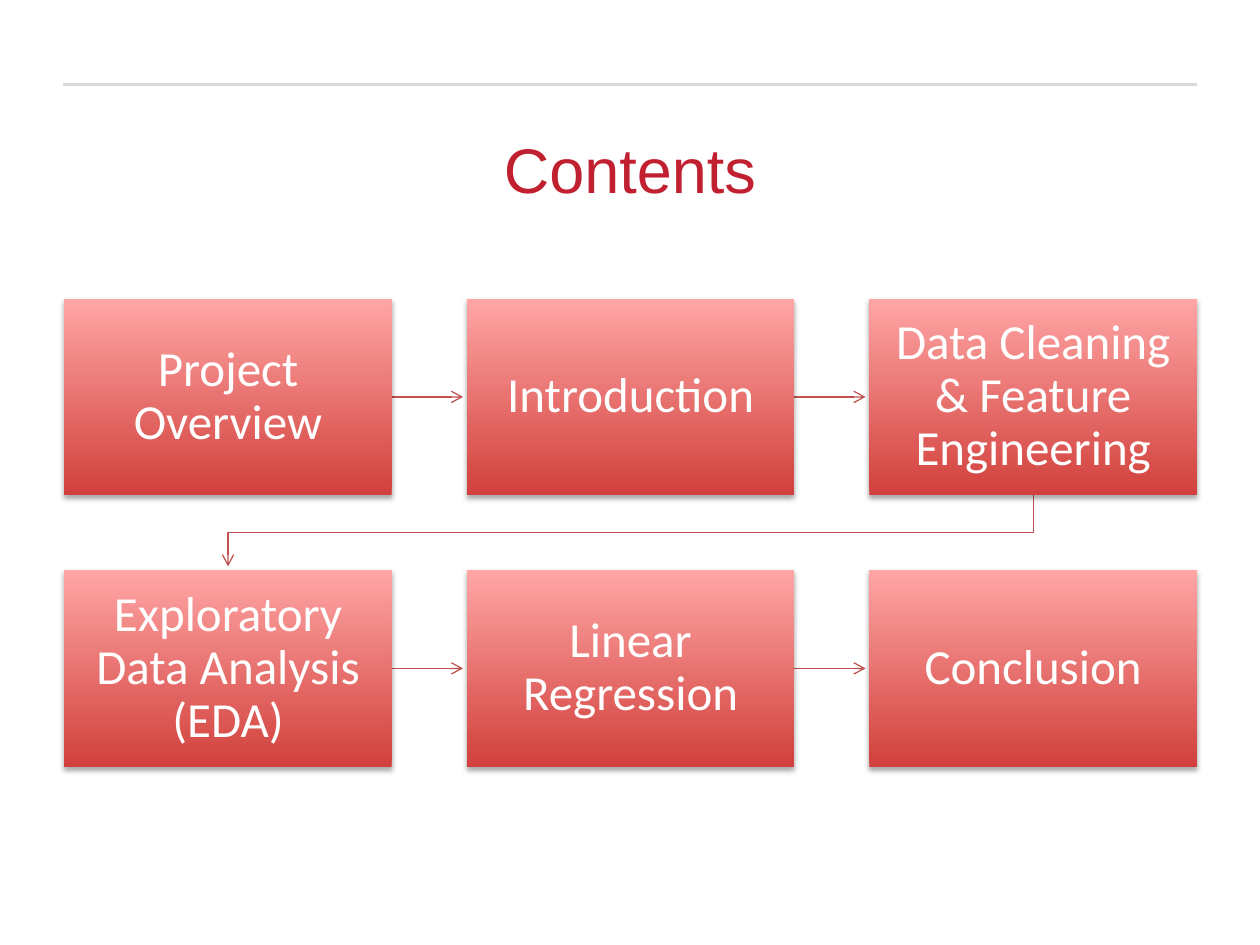
from dataclasses import dataclass

from pptx import Presentation
from pptx.dml.color import RGBColor
from pptx.enum import shapes, text
from pptx.oxml import parse_xml
from pptx.oxml.ns import nsdecls, qn
from pptx.util import Inches, Pt


@dataclass(frozen=True)
class Theme:
    title_color: RGBColor = RGBColor.from_string("C12030")
    rule_color: RGBColor = RGBColor.from_string("D9D9D9")
    arrow_color: RGBColor = RGBColor.from_string("C0504D")
    box_bottom: RGBColor = RGBColor.from_string("D1403C")
    box_top: RGBColor = RGBColor.from_string("FFA6A5")
    box_text: RGBColor = RGBColor.from_string("FFFFFF")
    title_font: str = "Arial"
    box_font: str = "Calibri"
    title_size: Pt = Pt(36)
    box_size: Pt = Pt(28)
    rule_width: Pt = Pt(2)
    arrow_width: Pt = Pt(0.75)


THEME = Theme()
COLUMNS = 3
LEFT, TOP = 0.51, 2.37
BOX_WIDTH, BOX_HEIGHT = 2.6, 1.56
COLUMN_STEP, ROW_STEP = 3.195, 2.155
ARROW_GAP = 0.03
BOX_INSET = Inches(0.13)

TOPICS = [
    "Project Overview",
    "Introduction",
    "Data Cleaning & Feature Engineering",
    "Exploratory Data Analysis (EDA)",
    "Linear Regression",
    "Conclusion",
]


@dataclass(frozen=True)
class Step:
    topic: str
    row: int
    column: int

    @property
    def left(self) -> float:
        return LEFT + self.column * COLUMN_STEP

    @property
    def top(self) -> float:
        return TOP + self.row * ROW_STEP

    @property
    def right(self) -> float:
        return self.left + BOX_WIDTH

    @property
    def bottom(self) -> float:
        return self.top + BOX_HEIGHT

    @property
    def center(self) -> float:
        return self.left + BOX_WIDTH / 2

    @property
    def middle(self) -> float:
        return self.top + BOX_HEIGHT / 2


def add_title(slide, wording: str) -> None:
    title = slide.shapes.title
    title.left, title.top = Inches(0.5), Inches(0.92)
    title.width, title.height = Inches(9), Inches(0.83)
    title.text_frame.text = wording
    title.text_frame.vertical_anchor = text.MSO_ANCHOR.MIDDLE
    paragraph = title.text_frame.paragraphs[0]
    paragraph.alignment = text.PP_ALIGN.CENTER
    font = paragraph.runs[0].font
    font.name, font.size = THEME.title_font, THEME.title_size
    font.color.rgb = THEME.title_color


def add_line(slide, x1: float, y1: float, x2: float, y2: float, color: RGBColor, width: Pt):
    line = slide.shapes.add_connector(
        shapes.MSO_CONNECTOR.STRAIGHT, Inches(x1), Inches(y1), Inches(x2), Inches(y2)
    )
    line.line.color.rgb = color
    line.line.width = width
    line._element.spPr.append(parse_xml(f"<a:effectLst {nsdecls('a')}/>"))
    return line


def add_arrowhead(arrow) -> None:
    ln = arrow._element.spPr.find(qn("a:ln"))
    ln.append(parse_xml(f'<a:tailEnd {nsdecls("a")} type="arrow"/>'))


def add_row_arrow(slide, start: Step, end: Step) -> None:
    arrow = add_line(
        slide, start.right, start.middle, end.left - ARROW_GAP, end.middle,
        THEME.arrow_color, THEME.arrow_width,
    )
    add_arrowhead(arrow)


def add_wrap_arrow(slide, start: Step, end: Step) -> None:
    """Lead from the end of one row to the start of the next."""
    turn = (start.bottom + end.top) / 2
    corners = [(start.center, turn), (end.center, turn), (end.center, end.top - ARROW_GAP)]
    builder = slide.shapes.build_freeform(Inches(start.center), Inches(start.bottom))
    builder.add_line_segments([(Inches(x), Inches(y)) for x, y in corners], close=False)
    arrow = builder.convert_to_shape()
    arrow.fill.background()
    arrow.line.color.rgb = THEME.arrow_color
    arrow.line.width = THEME.arrow_width
    arrow.shadow.inherit = False
    add_arrowhead(arrow)


def add_drop_shadow(box) -> None:
    box.shadow.inherit = False
    effects = box._element.spPr.find(qn("a:effectLst"))
    effects.append(parse_xml(
        f'<a:outerShdw {nsdecls("a")} blurRad="{Pt(3.1)}" dist="{Pt(1.8)}" dir="5400000" '
        'rotWithShape="0"><a:srgbClr val="000000"><a:alpha val="35000"/></a:srgbClr>'
        "</a:outerShdw>"
    ))


def add_box(slide, step: Step) -> None:
    box = slide.shapes.add_shape(
        shapes.MSO_SHAPE.RECTANGLE,
        Inches(step.left), Inches(step.top), Inches(BOX_WIDTH), Inches(BOX_HEIGHT),
    )
    box.fill.gradient()
    box.fill.gradient_angle = 90
    for stop, color in zip(box.fill.gradient_stops, (THEME.box_bottom, THEME.box_top)):
        stop.color.rgb = color
    box.line.fill.background()
    add_drop_shadow(box)

    frame = box.text_frame
    frame.text = step.topic
    frame.word_wrap = True
    frame.vertical_anchor = text.MSO_ANCHOR.MIDDLE
    frame.margin_left = frame.margin_right = BOX_INSET
    frame.margin_top = frame.margin_bottom = BOX_INSET
    paragraph = frame.paragraphs[0]
    paragraph.alignment = text.PP_ALIGN.CENTER
    paragraph.line_spacing = 0.9
    font = paragraph.runs[0].font
    font.name, font.size = THEME.box_font, THEME.box_size
    font.color.rgb = THEME.box_text


def main() -> None:
    deck = Presentation()
    deck.slide_width, deck.slide_height = Inches(10), Inches(7.5)
    slide = deck.slides.add_slide(deck.slide_layouts.get_by_name("Title Only"))

    add_line(slide, 0.5, 0.67, 9.5, 0.67, THEME.rule_color, THEME.rule_width)
    add_title(slide, "Contents")

    steps = [Step(topic, *divmod(i, COLUMNS)) for i, topic in enumerate(TOPICS)]
    for start, end in zip(steps, steps[1:]):
        add_arrow = add_row_arrow if start.row == end.row else add_wrap_arrow
        add_arrow(slide, start, end)
    for step in steps:
        add_box(slide, step)

    deck.save("out.pptx")


if __name__ == "__main__":
    main()
